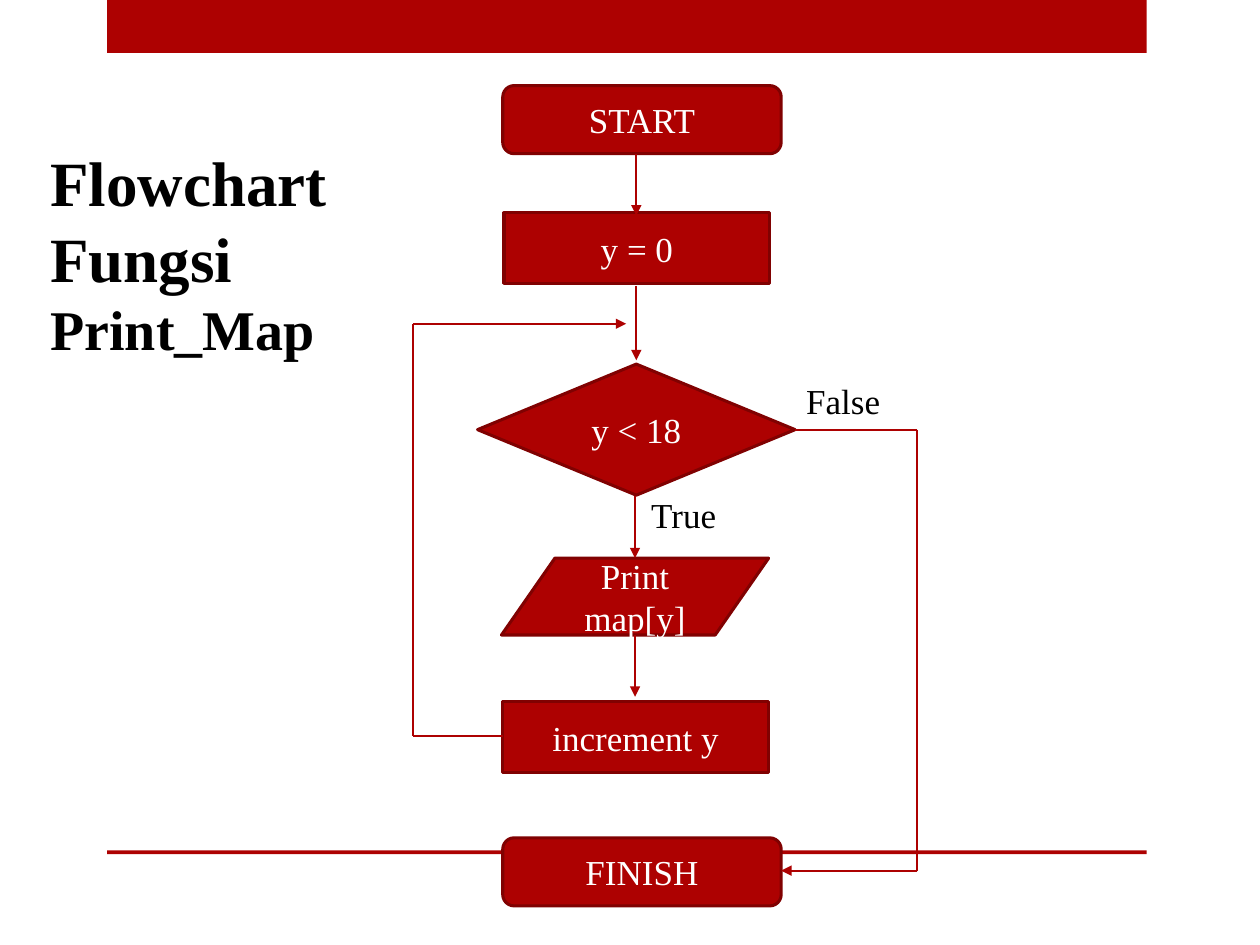
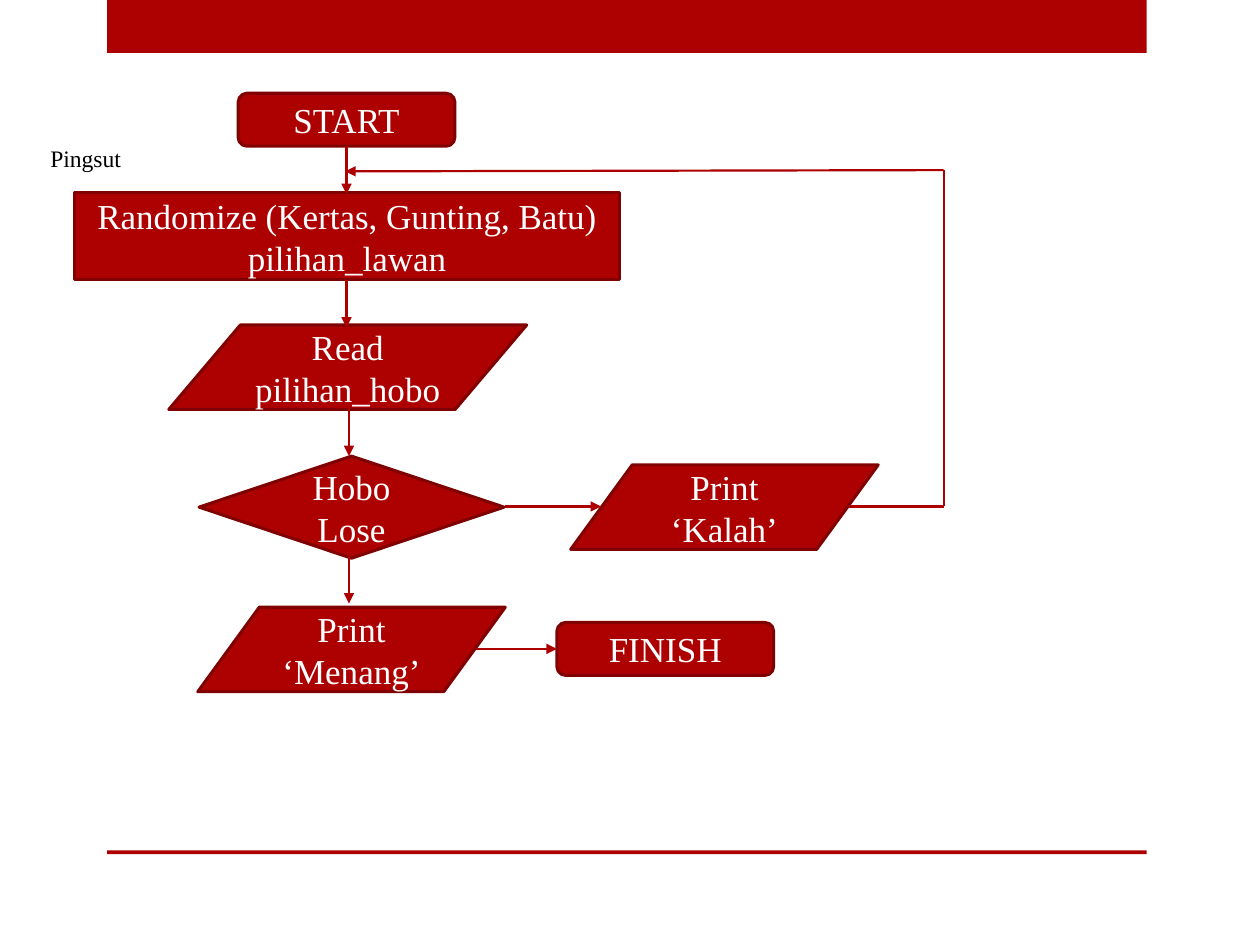
from dataclasses import dataclass
from itertools import pairwise

from lxml.etree import SubElement
from pptx import Presentation
from pptx.dml.color import RGBColor
from pptx.enum.shapes import MSO_CONNECTOR as Wire, MSO_SHAPE as Kind
from pptx.enum.text import MSO_ANCHOR as Anchor, MSO_AUTO_SIZE as Fit, PP_ALIGN as Align
from pptx.oxml.ns import qn
from pptx.util import Inches, Pt

INK = {"red": "AD0101", "edge": "800101", "text": "000000", "pale": "FFFFFF"}
FACE = "Times New Roman"
TITLE = {"word_wrap": True, "auto_size": Fit.NONE, "vertical_anchor": Anchor.TOP}
LABEL = {"word_wrap": True, "auto_size": Fit.SHAPE_TO_FIT_TEXT}
INNER = {"word_wrap": True, "vertical_anchor": Anchor.MIDDLE}
BANDS = ((0, 0.42), (6.75, 0.03))

Box = tuple[float, float, float, float]
Point = tuple[float, float]


@dataclass(frozen=True)
class Node:
    kind: Kind
    text: str
    box: Box


@dataclass(frozen=True)
class Path:
    points: tuple[Point, ...]


@dataclass(frozen=True)
class Label:
    text: str
    box: Box


@dataclass(frozen=True)
class Part:
    text: str
    size: float
    bold: bool = False


@dataclass(frozen=True)
class Chart:
    title: tuple[Part, ...]
    frame: Box
    nodes: tuple[Node, ...]
    paths: tuple[Path, ...]
    labels: tuple[Label, ...] = ()


def down(x: float, top: float, end: float) -> Path:
    return Path(((x, top), (x, end)))


def color(name: str) -> RGBColor:
    return RGBColor.from_string(INK[name])


def apply(item, values: dict) -> None:
    for name, value in values.items():
        setattr(item, name, value)


def style(font, size: float, ink: str, bold: bool = False) -> None:
    apply(font, {"name": FACE, "size": Pt(size), "bold": bold})
    font.color.rgb = color(ink)


def block(slide, kind: Kind, box: Box):
    shape = slide.shapes.add_shape(kind, *map(Inches, box))
    shape.shadow.inherit = False
    shape.fill.solid()
    shape.fill.fore_color.rgb = color("red")
    return shape


def bands(slide) -> None:
    for top, height in BANDS:
        block(slide, Kind.RECTANGLE, (0.85, top, 8.25, height)).line.fill.background()


def head(slide, parts: tuple[Part, ...], box: Box) -> None:
    title = slide.shapes.title
    apply(title, dict(zip(("left", "top", "width", "height"), map(Inches, box))))
    apply(title.text_frame, TITLE)
    para = title.text_frame.paragraphs[0]
    para.alignment = Align.LEFT
    for part in parts:
        run = para.add_run()
        run.text = part.text
        style(run.font, part.size, "text", part.bold)


def node(slide, item: Node) -> None:
    shape = block(slide, item.kind, item.box)
    shape.line.color.rgb = color("edge")
    shape.line.width = Pt(1.75)
    frame = shape.text_frame
    apply(frame, INNER)
    frame.text = item.text
    for para in frame.paragraphs:
        para.alignment = Align.CENTER
        style(para.runs[0].font, 20, "pale")


def trace(slide, item: Path) -> None:
    for start, end in pairwise(item.points):
        ends = map(Inches, (*start, *end))
        link = slide.shapes.add_connector(Wire.STRAIGHT, *ends)
        link.line.color.rgb = color("red")
        link.line.width = Pt(1.25)
        SubElement(link.element.spPr, qn("a:effectLst"))
        if end == item.points[-1] and item.points[-1] != start:
            SubElement(link.get_or_add_ln(), qn("a:tailEnd"), type="triangle")


def label(slide, item: Label) -> None:
    frame = slide.shapes.add_textbox(*map(Inches, item.box)).text_frame
    apply(frame, LABEL)
    frame.text = item.text
    style(frame.paragraphs[0].runs[0].font, 20, "text")


def draw(deck, chart: Chart) -> None:
    slide = deck.slides.add_slide(deck.slide_layouts[5])
    bands(slide)
    head(slide, chart.title, chart.frame)
    for item in chart.nodes:
        node(slide, item)
    for item in chart.paths:
        trace(slide, item)
    for item in chart.labels:
        label(slide, item)


ROUND, RECT = Kind.ROUNDED_RECTANGLE, Kind.RECTANGLE
TEST, DATA = Kind.FLOWCHART_DECISION, Kind.FLOWCHART_DATA

PRINT = Chart(
    title=(Part("Flowchart Fungsi ", 36, True), Part("Print_Map", 32, True)),
    frame=(0.3, 1.09, 2.5, 1.85),
    nodes=(
        Node(ROUND, "START", (3.99, 0.68, 2.21, 0.54)),
        Node(RECT, "y = 0", (4, 1.69, 2.11, 0.56)),
        Node(TEST, "y < 18", (3.79, 2.89, 2.52, 1.04)),
        Node(DATA, "Print map[y]", (3.98, 4.43, 2.12, 0.61)),
        Node(RECT, "increment y", (3.99, 5.57, 2.11, 0.56)),
        Node(ROUND, "FINISH", (3.99, 6.65, 2.21, 0.54)),
    ),
    paths=(
        down(5.05, 1.22, 1.71),
        down(5.05, 2.27, 2.86),
        down(5.04, 3.94, 4.43),
        down(5.04, 5.04, 5.53),
        Path(((3.99, 5.84), (3.28, 5.84), (3.28, 2.57), (4.97, 2.57))),
        Path(((6.31, 3.41), (7.28, 3.41), (7.28, 6.91), (6.2, 6.91))),
    ),
    labels=(
        Label("True", (5.07, 3.87, 0.85, 0.44)),
        Label("False", (6.3, 2.96, 0.85, 0.44)),
    ),
)

GAME = Chart(
    title=(Part("Pingsut", 13.5),),
    frame=(0.3, 1.09, 1.16, 0.33),
    nodes=(
        Node(ROUND, "START", (1.89, 0.74, 1.72, 0.42)),
        Node(RECT, "Randomize (Kertas, Gunting, Batu)\npilihan_lawan", (0.59, 1.53, 4.33, 0.69)),
        Node(DATA, "Read pilihan_hobo", (1.34, 2.58, 2.84, 0.67)),
        Node(TEST, "Hobo Lose", (1.58, 3.62, 2.42, 0.81)),
        Node(DATA, "Print ‘Kalah’", (4.53, 3.69, 2.44, 0.67)),
        Node(DATA, "Print ‘Menang’", (1.57, 4.82, 2.44, 0.67)),
        Node(ROUND, "FINISH", (4.42, 4.94, 1.72, 0.42)),
    ),
    paths=(
        down(2.75, 1.16, 1.54),
        down(2.75, 2.22, 2.6),
        down(2.77, 3.23, 3.62),
        down(2.77, 4.41, 4.79),
        Path(((4.01, 4.02), (4.77, 4.02))),
        Path(((3.78, 5.15), (4.42, 5.15))),
        Path(((6.74, 4.02), (7.49, 4.02), (7.49, 1.35), (2.74, 1.36))),
    ),
)


def main() -> None:
    deck = Presentation()
    deck.slide_width, deck.slide_height = Inches(10), Inches(7.5)
    for chart in (PRINT, GAME):
        draw(deck, chart)
    deck.save("out.pptx")


if __name__ == "__main__":
    main()
